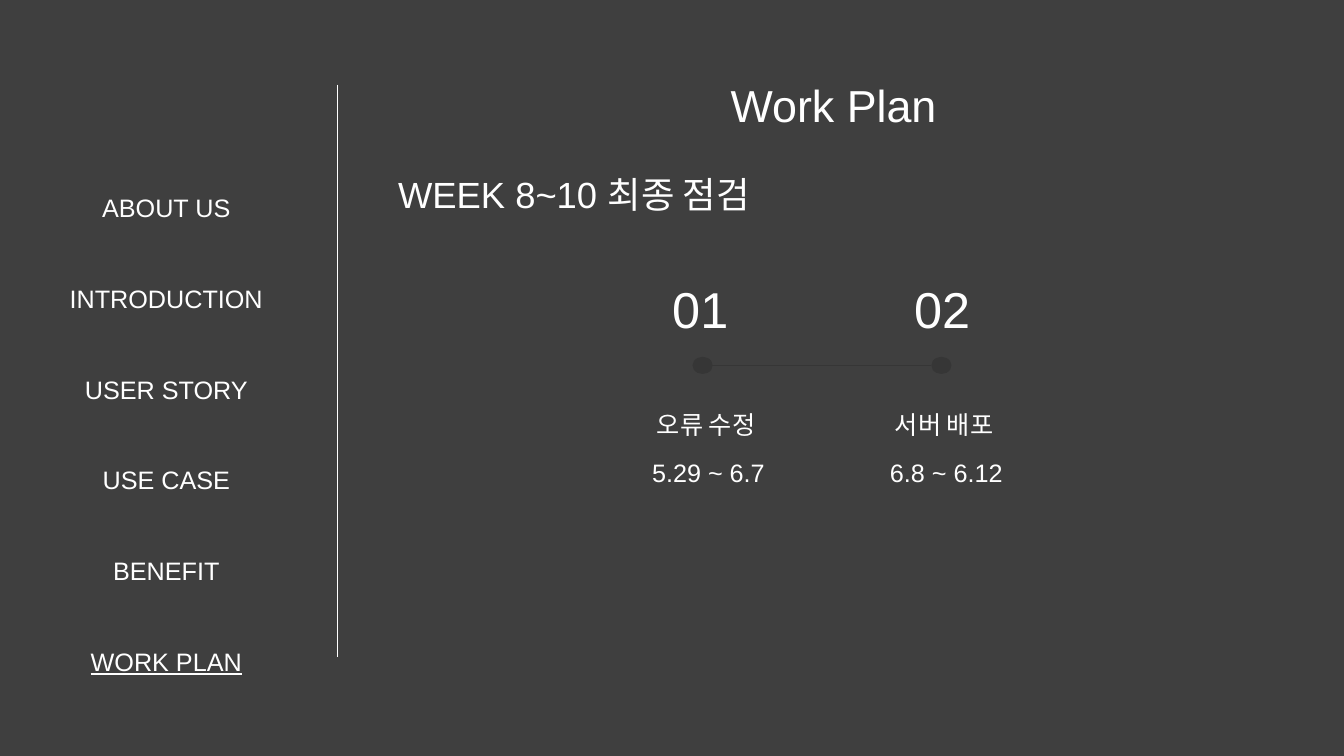
from lxml.etree import SubElement
from pptx import Presentation
from pptx.dml.color import RGBColor
from pptx.enum.shapes import MSO_CONNECTOR, MSO_SHAPE
from pptx.enum.text import MSO_ANCHOR, MSO_AUTO_SIZE, PP_ALIGN
from pptx.oxml.ns import qn
from pptx.util import Inches, Pt

WIDTH, HEIGHT = Inches(13.333), Inches(7.5)
FONT = "Arial"
COLORS = {"background": "3F3F3F", "text": "FFFFFF", "timeline": "363636"}

MENU = ["ABOUT US", "INTRODUCTION", "USER STORY", "USE CASE", "BENEFIT", "WORK PLAN"]
CURRENT = "WORK PLAN"

# Number, task, dates; then left edge and width of each in percent
STEPS = [
    {"number": ("01", 49.28, 5.78), "dot": 51.53,
     "task": ("오류 수정", 46.2, 12.68), "dates": ("5.29 ~ 6.7", 47.78, 11.18)},
    {"number": ("02", 67.28, 5.78), "dot": 69.3,
     "task": ("서버 배포", 63.38, 13.73), "dates": ("6.8 ~ 6.12", 65.48, 12.68)},
]


def color(name):
    return RGBColor.from_string(COLORS[name])


def across(percent):
    return round(WIDTH * percent / 100)


def down(percent):
    return round(HEIGHT * percent / 100)


def area(left, top, width, height):
    return across(left), down(top), across(width), down(height)


def write(shape, lines, size, align=PP_ALIGN.LEFT, spacing=None, underlined=None):
    frame = shape.text_frame
    frame.word_wrap = True
    frame.auto_size = MSO_AUTO_SIZE.NONE
    frame.vertical_anchor = MSO_ANCHOR.TOP
    for index, line in enumerate(lines):
        paragraph = frame.add_paragraph() if index else frame.paragraphs[0]
        paragraph.alignment = align
        if spacing:
            paragraph.line_spacing = spacing
        run = paragraph.add_run()
        run.text = line
        run.font.name = FONT
        run.font.size = Pt(size)
        run.font.color.rgb = color("text")
        if line == underlined:
            run.font.underline = True


def add_text(slide, box, lines, size, **style):
    write(slide.shapes.add_textbox(*area(*box)), lines, size, **style)


def add_title(slide, box, text):
    title = slide.shapes.title
    title.left, title.top, title.width, title.height = area(*box)
    write(title, [text], 32, align=PP_ALIGN.CENTER)


def add_line(slide, start, end, color_name):
    line = slide.shapes.add_connector(
        MSO_CONNECTOR.STRAIGHT, across(start[0]), down(start[1]),
        across(end[0]), down(end[1]))
    line.line.color.rgb = color(color_name)
    line.line.width = Pt(0.75)
    SubElement(line._element.spPr, qn("a:effectLst"))


def add_dot(slide, left):
    dot = slide.shapes.add_shape(MSO_SHAPE.OVAL, *area(left, 47.2, 1.5, 2.27))
    dot.shadow.inherit = False
    dot.fill.solid()
    dot.fill.fore_color.rgb = color("timeline")
    dot.line.fill.background()


def add_step(slide, step):
    number, left, width = step["number"]
    add_text(slide, (left, 36.13, width, 9.47), [number], 36)
    add_dot(slide, step["dot"])
    task, left, width = step["task"]
    add_text(slide, (left, 53.47, width, 5.33), [task], 18, align=PP_ALIGN.CENTER)
    dates, left, width = step["dates"]
    add_text(slide, (left, 59.87, width, 5.33), [dates], 18)


def main():
    presentation = Presentation()
    presentation.slide_width, presentation.slide_height = WIDTH, HEIGHT
    slide = presentation.slides.add_slide(presentation.slide_layouts[5])
    slide.background.fill.solid()
    slide.background.fill.fore_color.rgb = color("background")

    # Side menu and divider
    add_line(slide, (25.13, 11.2), (25.13, 86.93), "text")
    add_text(slide, (0, 16.8, 24.75, 59.73), MENU, 18, align=PP_ALIGN.CENTER,
             spacing=Pt(64.8), underlined=CURRENT)

    # Title and heading
    add_title(slide, (24.75, 9.6, 74.55, 8.53), "Work Plan")
    add_text(slide, (28.88, 22.13, 36.6, 5.87), ["WEEK 8~10 최종 점검"], 26)

    # Timeline
    for step in STEPS:
        add_step(slide, step)
    add_line(slide, (STEPS[0]["dot"], 48.4), (STEPS[-1]["dot"], 48.4), "timeline")

    presentation.save("out.pptx")


if __name__ == "__main__":
    main()
